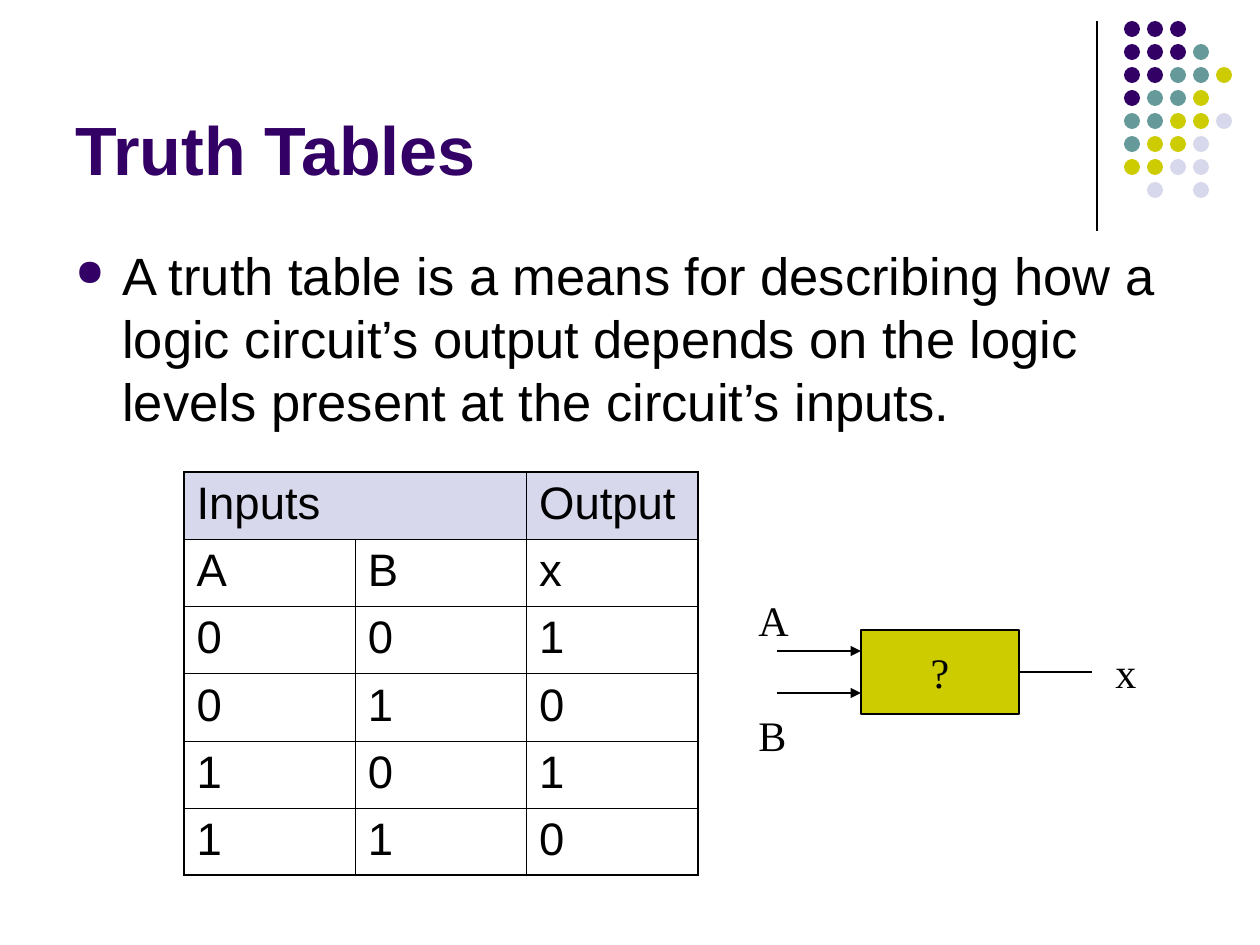
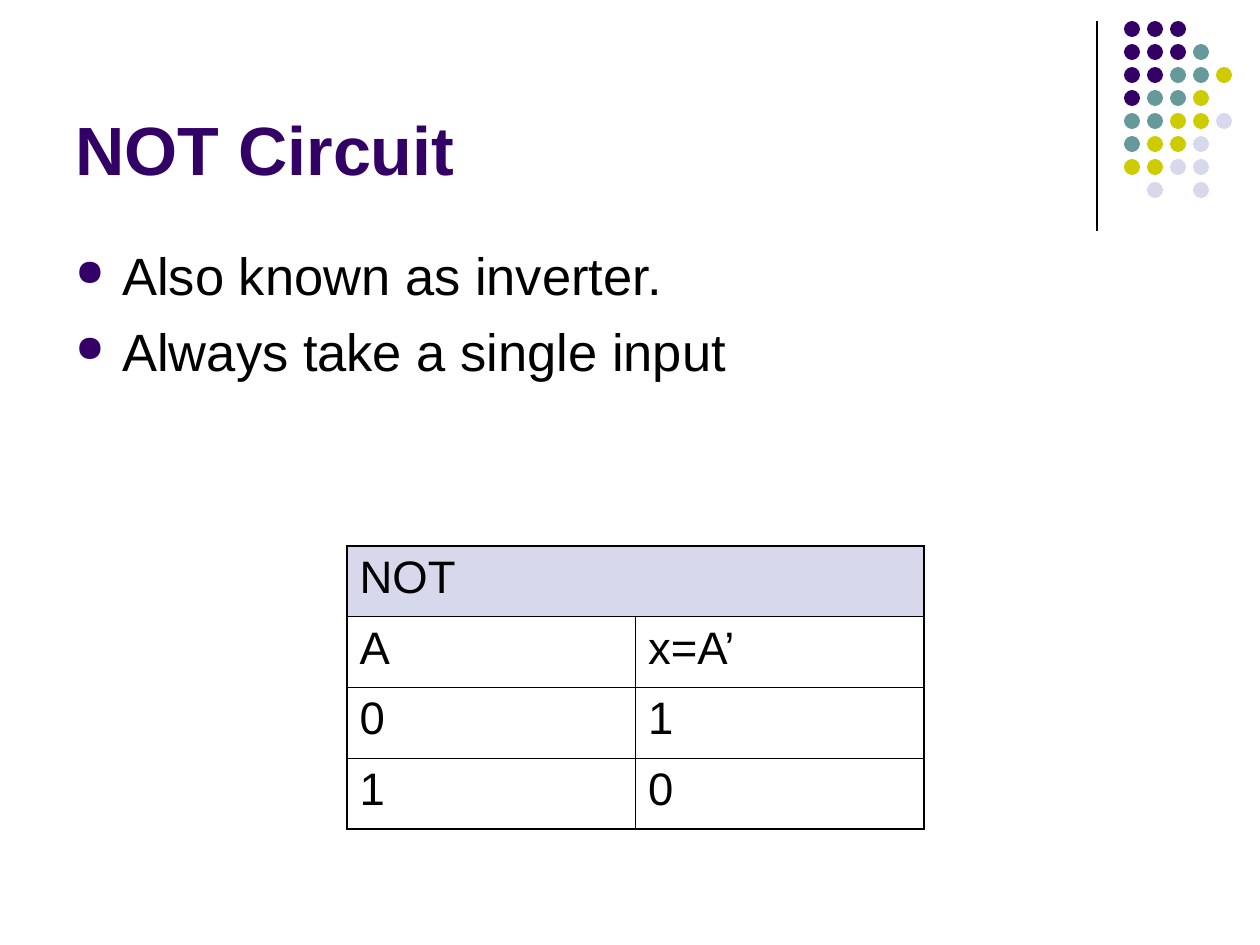
from lxml.etree import SubElement
from pptx import Presentation
from pptx.dml.color import RGBColor
from pptx.enum.shapes import MSO_CONNECTOR, MSO_SHAPE
from pptx.enum.text import MSO_ANCHOR, PP_ALIGN
from pptx.oxml.ns import qn
from pptx.util import Emu, Pt

SCALE = 914400 / 126
BLACK, PURPLE, TEAL, OLIVE, LILAC = "000000", "330066", "669999", "CCCC00", "D8D8EC"
SANS, SERIF = "Arial", "Times New Roman"
DOTS = ["PPP", "PPPT", "PPTTO", "PTTO", "TTOOL", "TOOL", "OOLL", " L L"]
DOT_COLORS = {"P": PURPLE, "T": TEAL, "O": OLIVE, "L": LILAC}


def px(*sizes):
    return [Emu(round(size * SCALE)) for size in sizes]


def color(code):
    return RGBColor.from_string(code)


def style(para, size, face=SANS, code=BLACK, bold=False):
    font = para.font
    font.size, font.name, font.bold = Pt(size), face, bold
    font.color.rgb = color(code)


def add_text(slide, box, text, size, face=SANS, code=BLACK, bold=False,
             anchor=MSO_ANCHOR.TOP):
    frame = slide.shapes.add_textbox(*px(*box)).text_frame
    frame.word_wrap = True
    frame.vertical_anchor = anchor
    frame.text = text
    for para in frame.paragraphs:
        style(para, size, face, code, bold)


def add_bullet(para):
    props = para._p.get_or_add_pPr()
    indent = px(47)[0]
    props.set("marL", str(indent))
    props.set("indent", str(-indent))
    tint = SubElement(props, qn("a:buClr"))
    SubElement(tint, qn("a:srgbClr"), val=PURPLE)
    SubElement(props, qn("a:buSzPct"), val="70000")
    SubElement(props, qn("a:buChar"), char="●")


def add_points(slide, points):
    frame = slide.shapes.add_textbox(*px(63, 237, 1134, 607)).text_frame
    frame.word_wrap = True
    frame.text = "\n".join(points)
    for order, para in enumerate(frame.paragraphs):
        add_bullet(para)
        para.line_spacing = Pt(36)
        para.space_before = Pt(7.5 if order else 0)
        style(para, 30)


def add_shape(slide, kind, box, fill, line=None):
    shape = slide.shapes.add_shape(kind, *px(*box))
    shape.shadow.inherit = False
    shape.fill.solid()
    shape.fill.fore_color.rgb = color(fill)
    if line:
        shape.line.color.rgb = color(line)
        shape.line.width = Pt(0.75)
    else:
        shape.line.fill.background()
    return shape


def add_line(slide, start, end, arrow=False):
    line = slide.shapes.add_connector(MSO_CONNECTOR.STRAIGHT, *px(*start, *end))
    line.line.color.rgb = color(BLACK)
    line.line.width = Pt(0.75)
    if arrow:
        SubElement(line.line._get_or_add_ln(), qn("a:tailEnd"), type="triangle")
    SubElement(line._element.spPr, qn("a:effectLst"))
    return line


def add_border(cell, outer):
    """Draw heavy lines on the outer sides, thin ones elsewhere."""
    props = cell._tc.get_or_add_tcPr()
    for side in "LRTB":
        width = Pt(1.08 if side in outer else 0.45)
        line = SubElement(props, qn(f"a:ln{side}"), w=str(width))
        fill = SubElement(line, qn("a:solidFill"))
        SubElement(fill, qn("a:srgbClr"), val=BLACK)


def add_grid(slide, box, rows):
    """Add a table whose first two header cells are merged."""
    last_row, last_col = len(rows) - 1, len(rows[0]) - 1
    frame = slide.shapes.add_table(len(rows), len(rows[0]), *px(*box))
    table = frame.table
    table.first_row = table.horz_banding = False
    table.cell(0, 0).merge(table.cell(0, 1))
    for r, row in enumerate(rows):
        for c, text in enumerate(row):
            cell = table.cell(r, c)
            right = c + (cell.span_width if cell.is_merge_origin else 1) - 1
            sides = {"L": c == 0, "R": right == last_col,
                     "T": r == 0, "B": r == last_row}
            add_border(cell, [side for side, hit in sides.items() if hit])
            if r == 0:
                cell.fill.solid()
                cell.fill.fore_color.rgb = color(LILAC)
            else:
                cell.fill.background()
            cell.text = text
            style(cell.text_frame.paragraphs[0], 26)


def add_dots(slide):
    for r, row in enumerate(DOTS):
        for c, key in enumerate(row):
            if key in DOT_COLORS:
                box = (1124 + 23 * c, 21 + 23 * r, 16, 16)
                add_shape(slide, MSO_SHAPE.OVAL, box, DOT_COLORS[key])


def add_page(deck, title, points):
    slide = deck.slides.add_slide(deck.slide_layouts[6])
    add_line(slide, (1097, 21), (1097, 231))
    add_dots(slide)
    add_text(slide, (63, 16, 1040, 179), title, 39, code=PURPLE, bold=True,
             anchor=MSO_ANCHOR.BOTTOM)
    add_points(slide, points)
    return slide


def add_gate(slide):
    """Draw the unknown circuit with its two inputs and one output."""
    gate = add_shape(slide, MSO_SHAPE.RECTANGLE, (861, 630, 158, 84), OLIVE, BLACK)
    frame = gate.text_frame
    frame.word_wrap = False
    frame.vertical_anchor = MSO_ANCHOR.MIDDLE
    frame.text = "?"
    frame.paragraphs[0].alignment = PP_ALIGN.CENTER
    style(frame.paragraphs[0], 24, SERIF)
    for y in (651, 693):
        add_line(slide, (777, y), (861, y), arrow=True)
    add_line(slide, (1019, 672), (1092, 672)).begin_connect(gate, 3)
    for text, x, y in [("A", 746, 588), ("B", 746, 703), ("x", 1103, 640)]:
        add_text(slide, (x, y, 60, 63), text, 24, SERIF)


def main():
    deck = Presentation()
    deck.slide_width, deck.slide_height = px(1260, 945)

    truth = add_page(deck, "Truth Tables", [
        "A truth table is a means for describing how a logic circuit’s output "
        "depends on the logic levels present at the circuit’s inputs."])
    add_grid(truth, (184, 472, 514, 403), [
        ["Inputs", "", "Output"], ["A", "B", "x"],
        ["0", "0", "1"], ["0", "1", "0"], ["1", "0", "1"], ["1", "1", "0"]])
    add_gate(truth)

    inverter = add_page(deck, "NOT Circuit", [
        "Also known as inverter.", "Always take a single input"])
    add_grid(inverter, (347, 546, 577, 283), [
        ["NOT", ""], ["A", "x=A’"], ["0", "1"], ["1", "0"]])

    deck.save("out.pptx")


if __name__ == "__main__":
    main()
